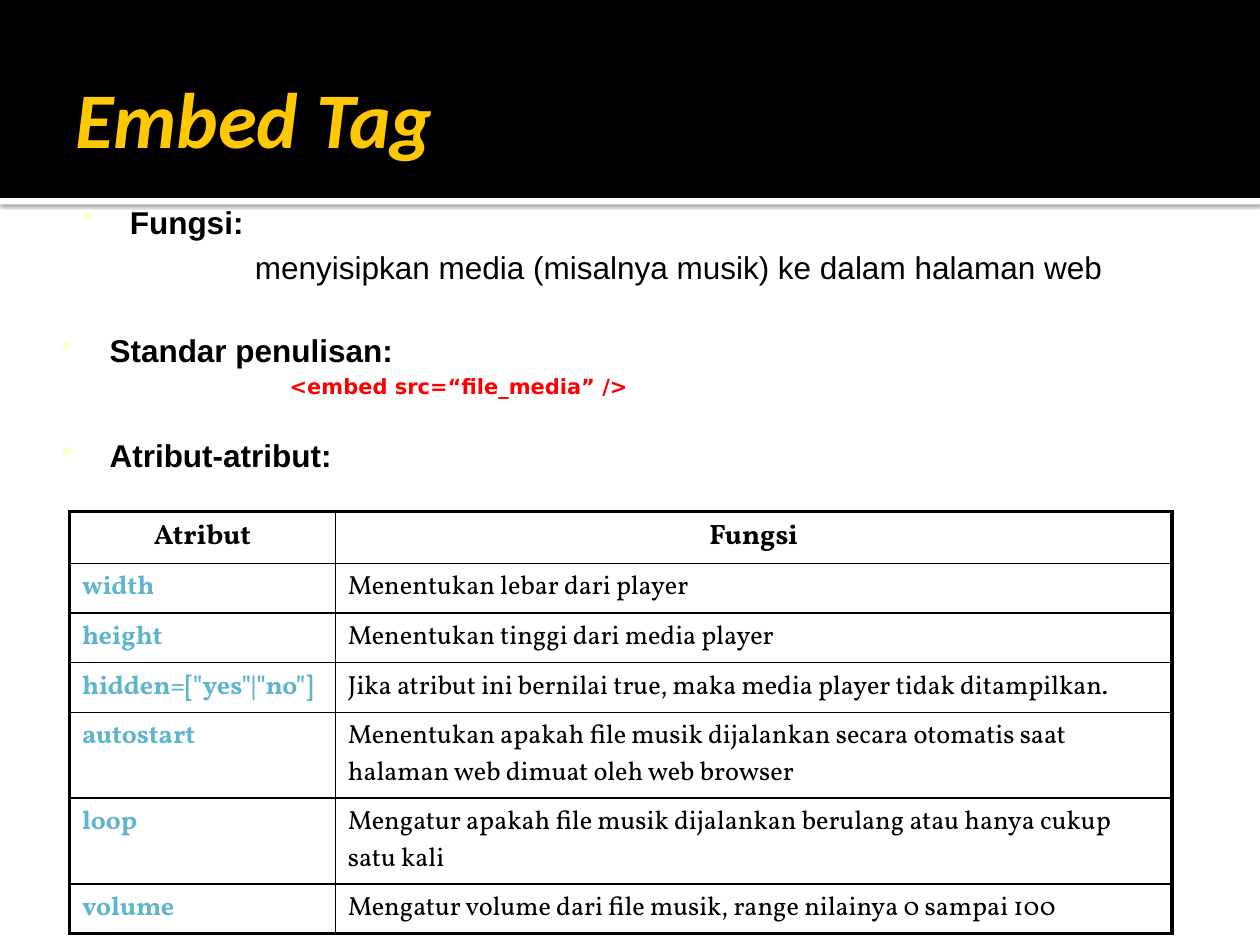
"""Build the Embed Tag slide: title band, syntax notes and attribute table."""
from lxml import etree
from pptx import Presentation
from pptx.dml.color import RGBColor
from pptx.enum.shapes import MSO_SHAPE
from pptx.enum.text import MSO_ANCHOR, PP_ALIGN
from pptx.oxml.ns import qn
from pptx.util import Cm, Pt

RECTANGLE = MSO_SHAPE.RECTANGLE
MIDDLE = MSO_ANCHOR.MIDDLE
CENTER, LEFT = PP_ALIGN.CENTER, PP_ALIGN.LEFT
COLORS = {"black": "000000", "white": "FFFFFF", "title": "FFC800",
          "bullet": "FFFFCC", "code": "FF0000", "attribute": "60B5CC"}


def add_color(parent, color):
    fill = etree.SubElement(parent, qn("a:solidFill"))
    return etree.SubElement(fill, qn("a:srgbClr"), val=COLORS[color])


def style_font(para, name, size, color, bold):
    font = para.font
    font.name, font.size, font.bold = name, Pt(size), bold
    font.color.rgb = RGBColor.from_string(COLORS[color])


deck = Presentation()
deck.slide_width, deck.slide_height = Cm(25.4), Cm(19.05)
page = deck.slides.add_slide(deck.slide_layouts[6])

for top, height, color in [(3.99, 0.13, "white"), (0, 3.99, "black")]:
    band = page.shapes.add_shape(RECTANGLE, 0, Cm(top), deck.slide_width, Cm(height))
    band.shadow.inherit = False
    band.fill.solid()
    band.fill.fore_color.rgb = RGBColor.from_string(COLORS[color])
    band.line.fill.background()
    if color == "white":
        effects = band._element.spPr.find(qn("a:effectLst"))
        shadow = etree.SubElement(effects, qn("a:outerShdw"), blurRad=str(Pt(2.5)),
                                  dist=str(Pt(0.8)), dir="5400000")
        shade = etree.SubElement(shadow, qn("a:srgbClr"), val=COLORS["black"])
        etree.SubElement(shade, qn("a:alpha"), val="60000")

title = page.shapes.add_textbox(Cm(1.27), Cm(0.76), Cm(22.86), Cm(3.18)).text_frame
title.word_wrap = True
title.vertical_anchor = MIDDLE
title.paragraphs[0].text = "Embed Tag"
style_font(title.paragraphs[0], "Calibri", 45, "title", True)
title.paragraphs[0].font.italic = True

heading = ("Arial", 18, "black", True)
notes = [
    (0.99, 6.55, 21.39, 3.38, [
        ("Standar penulisan:", heading, 0.97, 1.5),
        ("<embed src=“file_media” />", ("DejaVu Sans", 12, "code", True), 4.6, 2.5),
        ("Atribut-atribut:", heading, 0.97, 21.5)]),
    (1.4, 3.96, 22.02, 2.97, [
        ("Fungsi:", heading, 0.97, 1.5),
        ("menyisipkan media (misalnya musik) ke dalam halaman web",
         ("Arial", 18, "black", False), 3.49, 4.5)]),
]
for left, top, width, height, lines in notes:
    box = page.shapes.add_textbox(Cm(left), Cm(top), Cm(width), Cm(height))
    frame = box.text_frame
    frame.word_wrap = True
    for index, (text, style, indent, space) in enumerate(lines):
        para = frame.add_paragraph() if index else frame.paragraphs[0]
        para.text = text
        para.space_before = Pt(space)
        style_font(para, *style)
        settings = para._p.get_or_add_pPr()
        settings.set("marL", str(Cm(indent)))
        if style == heading:
            settings.set("indent", str(-Cm(indent)))
            bullet_color = etree.Element(qn("a:buClr"))
            etree.SubElement(bullet_color, qn("a:srgbClr"), val=COLORS["bullet"])
            bullet = etree.Element(qn("a:buChar"), char="•")
            defaults = settings.find(qn("a:defRPr"))
            defaults.addprevious(bullet_color)
            defaults.addprevious(bullet)

entries = [
    ("Atribut", "Fungsi"),
    ("width", "Menentukan lebar dari player"),
    ("height", "Menentukan tinggi dari media player"),
    ('hidden=["yes"|"no"]',
     "Jika atribut ini bernilai true, maka media player tidak ditampilkan."),
    ("autostart", "Menentukan apakah file musik dijalankan secara otomatis saat "
                  "halaman web dimuat oleh web browser"),
    ("loop", "Mengatur apakah file musik dijalankan berulang atau hanya cukup satu kali"),
    ("volume", "Mengatur volume dari file musik, range nilainya 0 sampai 100"),
]
row_heights = [1.05, 1, 1, 1, 1.73, 1.73, 1]
table = page.shapes.add_table(len(entries), 2, Cm(1.4), Cm(10.31),
                              Cm(22.23), Cm(sum(row_heights))).table
table.first_row = table.horz_banding = False
for column, width in zip(table.columns, [5.36, 16.87]):
    column.width = Cm(width)
last = len(entries) - 1
for row, (entry, height) in enumerate(zip(entries, row_heights)):
    table.rows[row].height = Cm(height)
    for column, text in enumerate(entry):
        cell = table.cell(row, column)
        para = cell.text_frame.paragraphs[0]
        para.text = text
        para.alignment = CENTER if row == 0 else LEFT
        color = "attribute" if row and column == 0 else "black"
        style_font(para, "Vollkorn", 15 if row else 16, color, row == 0 or column == 0)
        outer_sides = {"lnL": column == 0, "lnR": column == 1,
                       "lnT": row == 0, "lnB": row == last}
        for side, is_outer in outer_sides.items():
            border = etree.SubElement(cell._tc.get_or_add_tcPr(), qn("a:" + side),
                                      w=str(Pt(2.25 if is_outer else 1)))
            add_color(border, "black")
        cell.fill.background()

deck.save("out.pptx")
